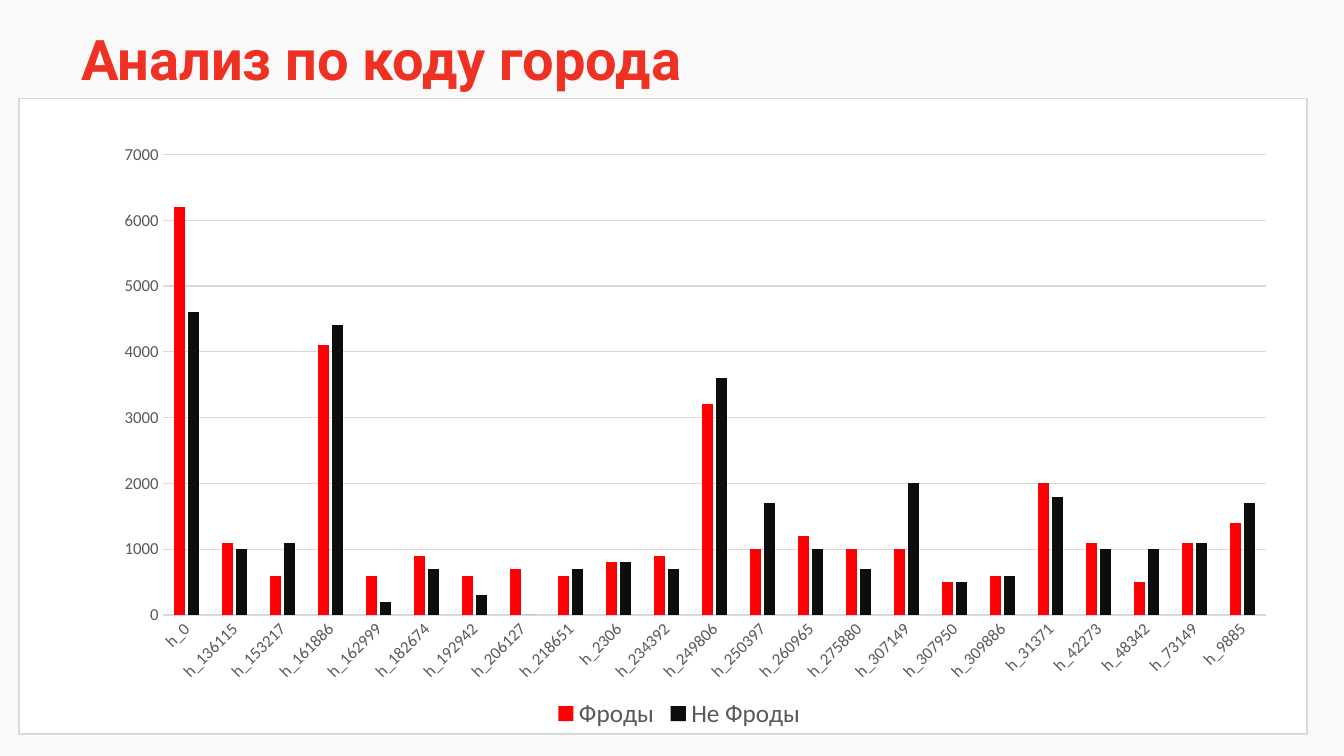
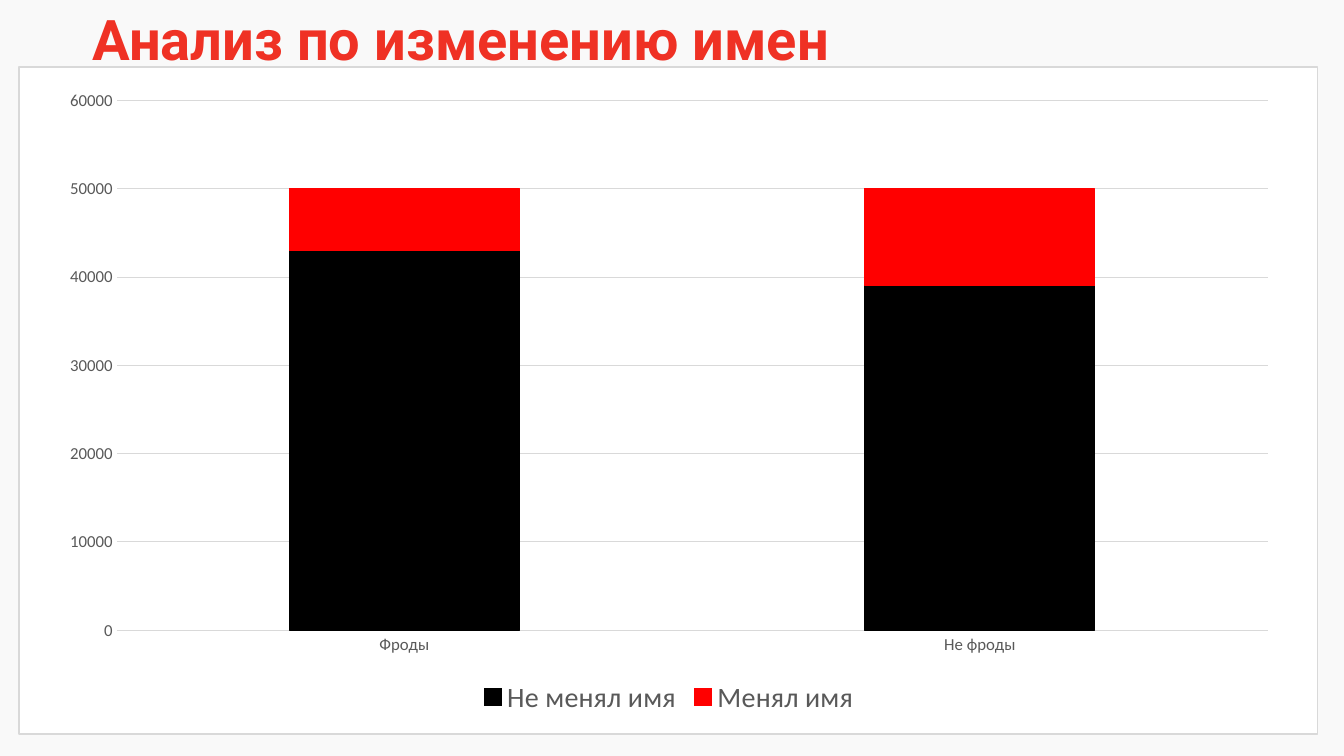
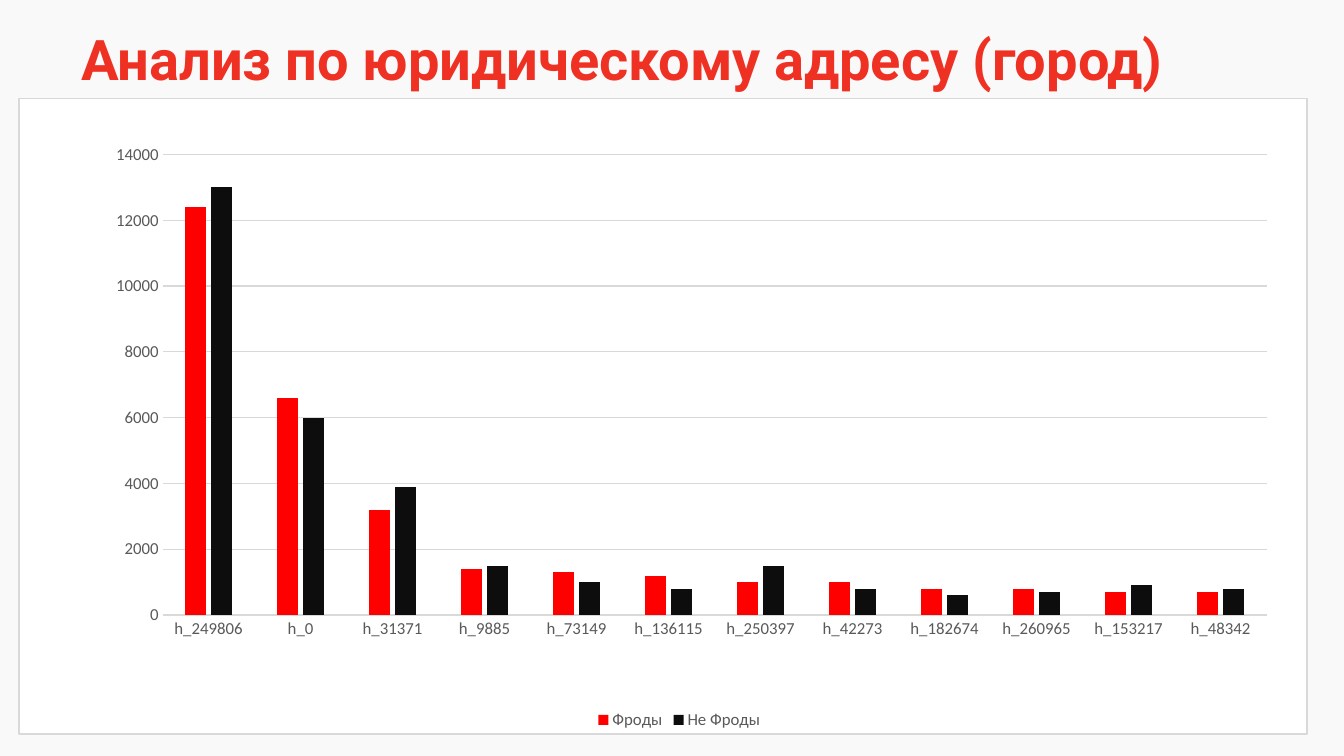
import pptx
import pptx.util
import pptx.chart.data
import pptx.dml.color
import pptx.enum.chart
import pptx.enum.shapes
import pptx.enum.text
import pptx.oxml
import pptx.oxml.ns

RGB = pptx.dml.color.RGBColor
KIND = pptx.enum.chart.XL_CHART_TYPE
Pt = pptx.util.Pt
PX = 9525  # EMU per px, slide is 1280 x 720

PAPER = RGB(0xF9, 0xF9, 0xF9)
WHITE = RGB(0xFF, 0xFF, 0xFF)
EDGE = RGB(0xD9, 0xD9, 0xD9)
TITLE = RGB(0xEF, 0x31, 0x24)
LABEL = RGB(0x59, 0x59, 0x59)
BLACK = RGB(0x00, 0x00, 0x00)
INK = RGB(0x0D, 0x0D, 0x0D)
RED = RGB(0xFF, 0x00, 0x00)

HEAD = {"name": "Roboto", "size": Pt(40), "bold": True}
BASE = {"name": "Calibri", "size": Pt(10)}
TICK = {"name": "Calibri", "size": Pt(12)}

# Inner plot area as shares of the chart
PLOT = {"x": 0.075, "y": 0.03, "w": 0.908, "h": 0.771}

# Places shared by the two slides with clustered columns
CITY = {
    "head": (68, 19), "panel": (18, 94, 1227, 605), "area": (68, 130, 1158, 569),
    "kind": KIND.COLUMN_CLUSTERED, "gap": 219, "lap": -27, "plot": PLOT, "edge": False,
}

SLIDES = [
    CITY | {
        "title": "Анализ по коду города", "key": 18, "top": 7000, "step": 1000, "turn": -45,
        "cats": [
            "h_0", "h_136115", "h_153217", "h_161886", "h_162999", "h_182674",
            "h_192942", "h_206127", "h_218651", "h_2306", "h_234392", "h_249806",
            "h_250397", "h_260965", "h_275880", "h_307149", "h_307950", "h_309886",
            "h_31371", "h_42273", "h_48342", "h_73149", "h_9885",
        ],
        "rows": [
            ("Фроды", RED, [6200, 1100, 600, 4100, 600, 900, 600, 700, 600, 800, 900, 3200,
                            1000, 1200, 1000, 1000, 500, 600, 2000, 1100, 500, 1100, 1400]),
            ("Не Фроды", INK, [4600, 1000, 1100, 4400, 200, 700, 300, 0, 700, 800, 700, 3600,
                               1700, 1000, 700, 2000, 500, 600, 1800, 1000, 1000, 1100, 1700]),
        ],
    },
    {
        "title": "Анализ по изменению имен", "key": 20, "top": 60000, "step": 10000, "turn": 0,
        "head": (79, 0), "panel": (18, 64, 1237, 635), "area": (43, 74, 1188, 612),
        "kind": KIND.COLUMN_STACKED, "gap": 150, "lap": 100, "plot": None, "edge": True,
        "cats": ["Фроды", "Не фроды"],
        "rows": [
            ("Не менял имя", BLACK, [43000, 39000]),
            ("Менял имя", RED, [7000, 11000]),
        ],
    },
    CITY | {
        "title": "Анализ по юридическому адресу (город)",
        "key": 12, "top": 14000, "step": 2000, "turn": 0,
        "cats": [
            "h_249806", "h_0", "h_31371", "h_9885", "h_73149", "h_136115",
            "h_250397", "h_42273", "h_182674", "h_260965", "h_153217", "h_48342",
        ],
        "rows": [
            ("Фроды", RED, [12400, 6600, 3200, 1400, 1300, 1200, 1000, 1000, 800, 800, 700, 700]),
            ("Не Фроды", INK, [13000, 6000, 3900, 1500, 1000, 800, 1500, 800, 600, 700, 900, 800]),
        ],
    },
]


def style(font, form, color):
    for name, value in form.items():
        setattr(font, name, value)
    font.color.rgb = color


def rule(line, color, width):
    line.color.rgb = color
    line.width = Pt(width)


deck = pptx.Presentation()
deck.slide_width, deck.slide_height = 1280 * PX, 720 * PX

# Background shared through the master
back = deck.slide_master.background.fill
back.solid()
back.fore_color.rgb = PAPER

for page in SLIDES:
    slide = deck.slides.add_slide(deck.slide_layouts[6])

    # White panel
    panel = slide.shapes.add_shape(
        pptx.enum.shapes.MSO_SHAPE.RECTANGLE, *(n * PX for n in page["panel"]))
    panel.shadow.inherit = False
    panel.fill.solid()
    panel.fill.fore_color.rgb = WHITE
    rule(panel.line, EDGE, 1)

    # Title
    left, top = page["head"]
    head = slide.shapes.add_textbox(left * PX, top * PX, 1177 * PX, 74 * PX).text_frame
    head.word_wrap = True
    head.auto_size = pptx.enum.text.MSO_AUTO_SIZE.SHAPE_TO_FIT_TEXT
    run = head.paragraphs[0].add_run()
    run.text = page["title"]
    style(run.font, HEAD, TITLE)

    # Chart
    data = pptx.chart.data.CategoryChartData()
    data.categories = page["cats"]
    for name, color, vals in page["rows"]:
        data.add_series(name, vals)
    chart = slide.shapes.add_chart(
        page["kind"], *(n * PX for n in page["area"]), data).chart
    style(chart.font, BASE, BLACK)
    chart.has_title = False

    # Columns
    plot = chart.plots[0]
    plot.vary_by_categories = False
    plot.gap_width, plot.overlap = page["gap"], page["lap"]
    for row, (name, color, vals) in zip(plot.series, page["rows"]):
        row.format.fill.solid()
        row.format.fill.fore_color.rgb = color
        if page["edge"]:
            rule(row.format.line, color, 0.75)

    # Axes
    cat, val = chart.category_axis, chart.value_axis
    for axis in (cat, val):
        axis.major_tick_mark = axis.minor_tick_mark = pptx.enum.chart.XL_TICK_MARK.NONE
        style(axis.tick_labels.font, TICK, LABEL)
    rule(cat.format.line, EDGE, 0.75)
    val.format.line.fill.background()
    rule(val.major_gridlines.format.line, EDGE, 0.75)
    val.minimum_scale, val.maximum_scale = 0, page["top"]
    val.major_unit = page["step"]
    if page["turn"]:
        body = cat._element.find(".//" + pptx.oxml.ns.qn("a:bodyPr"))
        body.set("rot", str(page["turn"] * 60000))
        body.set("vert", "horz")

    # Legend
    chart.has_legend = True
    chart.legend.position = pptx.enum.chart.XL_LEGEND_POSITION.BOTTOM
    chart.legend.include_in_layout = False
    style(chart.legend.font, {"name": "Calibri", "size": Pt(page["key"])}, LABEL)

    # Fixed plot area
    if page["plot"]:
        zone = plot._element.getparent()
        for old in zone.findall(pptx.oxml.ns.qn("c:layout")):
            zone.remove(old)
        modes = "".join(f'<c:{k}Mode val="edge"/>' for k in "xy")
        sizes = "".join(f'<c:{k} val="{v}"/>' for k, v in page["plot"].items())
        zone.insert(0, pptx.oxml.parse_xml(
            f'<c:layout {pptx.oxml.ns.nsdecls("c")}><c:manualLayout>'
            f'<c:layoutTarget val="inner"/>{modes}{sizes}</c:manualLayout></c:layout>'))

deck.save("out.pptx")
